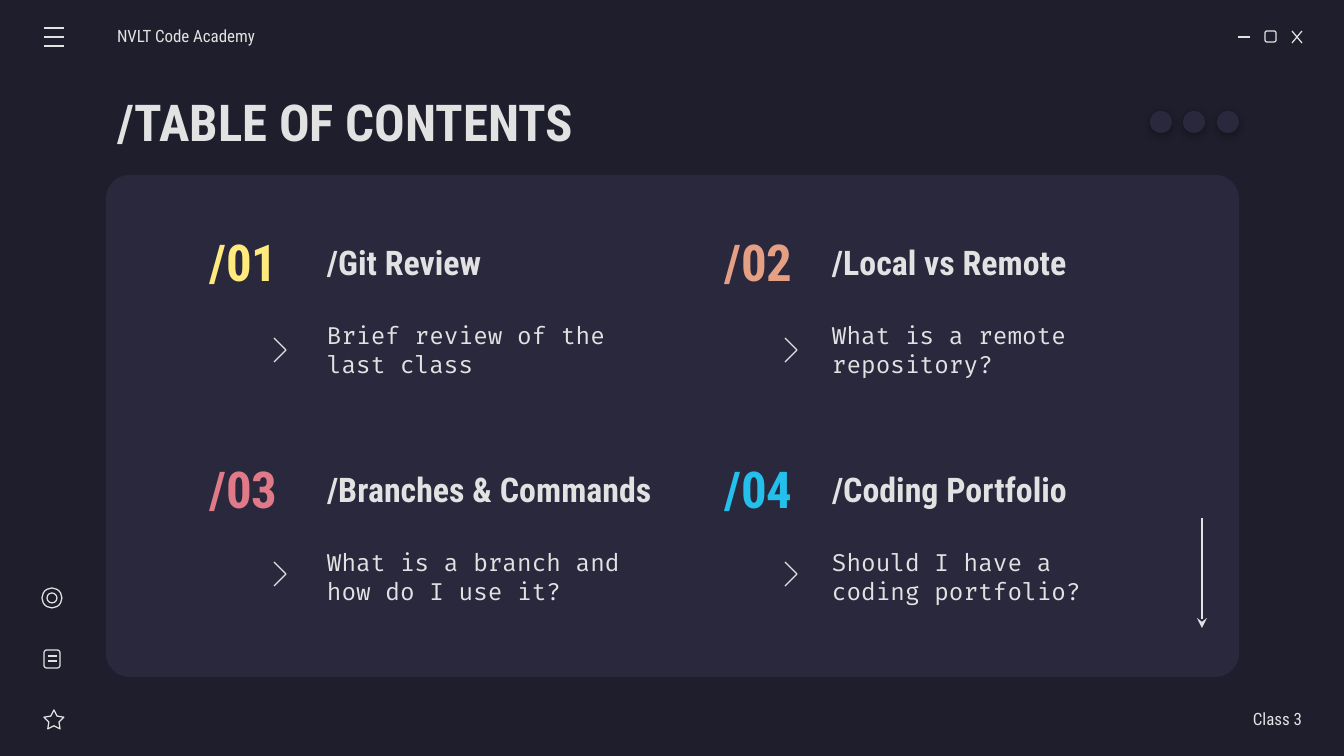
from dataclasses import dataclass
from typing import Optional

from lxml.etree import SubElement
from pptx import Presentation
from pptx.dml.color import RGBColor
from pptx.enum.shapes import MSO_CONNECTOR, MSO_SHAPE
from pptx.enum.text import MSO_ANCHOR, PP_ALIGN
from pptx.oxml.ns import qn
from pptx.util import Pt

EMU_PER_PX = 7495
COLORS = {
    "background": "1E1E2C",
    "panel": "29283D",
    "light": "E2E2E2",
    "yellow": "FFEA7D",
    "orange": "E5A083",
    "pink": "E07A88",
    "blue": "24BFEB",
    "shadow": "000000",
}
HEADING_FONT = "Roboto Condensed"
BODY_FONT = "Fira Code"
INSET = 12


@dataclass(frozen=True)
class Column:
    number_left: int
    chevron_left: int
    text_left: int


@dataclass(frozen=True)
class Row:
    top: int
    chevron_top: int
    heading_width: int


@dataclass(frozen=True)
class Topic:
    column: Column
    row: Row
    number: str
    heading: str
    summary: str
    color: str


@dataclass(frozen=True)
class Stroke:
    x1: int
    y1: int
    x2: int
    y2: int


@dataclass(frozen=True)
class Figure:
    kind: MSO_SHAPE
    left: int
    top: int
    width: int
    height: int
    adjustment: Optional[float] = None


LEFT = Column(182, 274, 315)
RIGHT = Column(697, 785, 820)
UPPER = Row(224, 338, 344)
LOWER = Row(451, 562, 357)

TOPICS = [
    Topic(LEFT, UPPER, "/01", "/Git Review", "Brief review of the last class", "yellow"),
    Topic(RIGHT, UPPER, "/02", "/Local vs Remote", "What is a remote repository?", "orange"),
    Topic(LEFT, LOWER, "/03", "/Branches & Commands", "What is a branch and how do I use it?", "pink"),
    Topic(RIGHT, LOWER, "/04", "/Coding Portfolio", "Should I have a coding portfolio?", "blue"),
]

PANEL = Figure(MSO_SHAPE.ROUNDED_RECTANGLE, 106, 175, 1133, 502, 0.047)
OUTLINES = [
    Figure(MSO_SHAPE.ROUNDED_RECTANGLE, 1265, 31, 11, 11, 0.167),
    Figure(MSO_SHAPE.STAR_5_POINT, 44, 710, 20, 19, 0.254),
    Figure(MSO_SHAPE.ROUNDED_RECTANGLE, 44, 650, 16, 18, 0.167),
    Figure(MSO_SHAPE.OVAL, 42, 588, 20, 20),
    Figure(MSO_SHAPE.OVAL, 47, 593, 10, 10),
]
MENU = [Stroke(44, 28 + 9 * index, 64, 28 + 9 * index) for index in range(3)]
WINDOW = [Stroke(1238, 37, 1250, 37), Stroke(1292, 31, 1302, 43), Stroke(1302, 31, 1292, 43)]
NOTE = [Stroke(48, y, 57, y) for y in (656, 661)]
SCROLL = Stroke(1202, 518, 1202, 628)
DOTS = [Figure(MSO_SHAPE.OVAL, left, 111, 22, 22) for left in (1150, 1183, 1217)]


def px(length: int) -> int:
    return length * EMU_PER_PX


def color_of(name: str) -> RGBColor:
    return RGBColor.from_string(COLORS[name])


def style_line(line) -> None:
    line.color.rgb = color_of("light")
    line.width = Pt(0.75)


def add_figure(page, figure: Figure, fill: Optional[str] = None):
    shape = page.shapes.add_shape(
        figure.kind, px(figure.left), px(figure.top), px(figure.width), px(figure.height)
    )
    shape.shadow.inherit = False
    if figure.adjustment is not None:
        shape.adjustments[0] = figure.adjustment
    if fill:
        shape.fill.solid()
        shape.fill.fore_color.rgb = color_of(fill)
        shape.line.fill.background()
    else:
        shape.fill.background()
        style_line(shape.line)
    return shape


def add_dot(page, figure: Figure) -> None:
    dot = add_figure(page, figure, "panel")
    effects = dot._element.spPr.find(qn("a:effectLst"))
    shadow = SubElement(
        effects, qn("a:outerShdw"), blurRad=str(Pt(4.5)), dist=str(Pt(1.5)), dir="5400000"
    )
    tint = SubElement(shadow, qn("a:srgbClr"), val=COLORS["shadow"])
    SubElement(tint, qn("a:alpha"), val="30000")


def add_stroke(page, stroke: Stroke, arrow: bool = False) -> None:
    connector = page.shapes.add_connector(
        MSO_CONNECTOR.STRAIGHT, px(stroke.x1), px(stroke.y1), px(stroke.x2), px(stroke.y2)
    )
    style_line(connector.line)
    properties = connector._element.spPr
    if arrow:
        SubElement(properties.find(qn("a:ln")), qn("a:tailEnd"), type="stealth")
    SubElement(properties, qn("a:effectLst"))


def add_chevron(page, left: int, top: int) -> None:
    builder = page.shapes.build_freeform(left, top, scale=EMU_PER_PX)
    builder.add_line_segments([(left + 12, top + 12), (left, top + 24)], close=False)
    chevron = builder.convert_to_shape()
    chevron.shadow.inherit = False
    chevron.fill.background()
    style_line(chevron.line)


def add_text(
    page, text: str, left: int, top: int, width: int, height: int, size: int,
    color: str = "light", bold: bool = False, font: str = HEADING_FONT,
    align: PP_ALIGN = PP_ALIGN.LEFT, inset_left: int = INSET, inset_right: int = INSET,
) -> None:
    box = page.shapes.add_textbox(px(left), px(top), px(width), px(height))
    frame = box.text_frame
    frame.word_wrap = True
    frame.vertical_anchor = MSO_ANCHOR.MIDDLE
    frame.margin_left, frame.margin_right = px(inset_left), px(inset_right)
    frame.margin_top = frame.margin_bottom = px(INSET)
    para = frame.paragraphs[0]
    para.alignment = align
    span = para.add_run()
    span.text = text
    span.font.name = font
    span.font.size = Pt(size)
    span.font.bold = bold
    span.font.color.rgb = color_of(color)


def add_topic(page, topic: Topic) -> None:
    column, row = topic.column, topic.row
    add_text(page, topic.heading, column.text_left, row.top, row.heading_width, 75, 20, bold=True)
    add_text(page, topic.number, column.number_left, row.top, 123, 75, 30,
             color=topic.color, bold=True, align=PP_ALIGN.CENTER)
    add_text(page, topic.summary, column.text_left, row.top + 75, 344, 101, 14, font=BODY_FONT)
    add_chevron(page, column.chevron_left, row.chevron_top)


def main() -> None:
    deck = Presentation()
    deck.slide_width, deck.slide_height = px(1344), px(756)
    page = deck.slides.add_slide(deck.slide_layouts[6])
    page.background.fill.solid()
    page.background.fill.fore_color.rgb = color_of("background")

    add_figure(page, PANEL, "panel")
    for topic in TOPICS:
        add_topic(page, topic)
    add_text(page, "/TABLE OF CONTENTS", 106, 79, 1133, 84, 30, bold=True)
    add_text(page, "NVLT Code Academy", 117, 16, 157, 40, 10, inset_left=0)
    add_text(page, "Class 3", 1145, 699, 157, 40, 10, align=PP_ALIGN.RIGHT, inset_right=0)
    for outline in OUTLINES:
        add_figure(page, outline)
    for stroke in MENU + WINDOW + NOTE:
        add_stroke(page, stroke)
    add_stroke(page, SCROLL, arrow=True)
    for dot in DOTS:
        add_dot(page, dot)
    deck.save("out.pptx")


if __name__ == "__main__":
    main()
